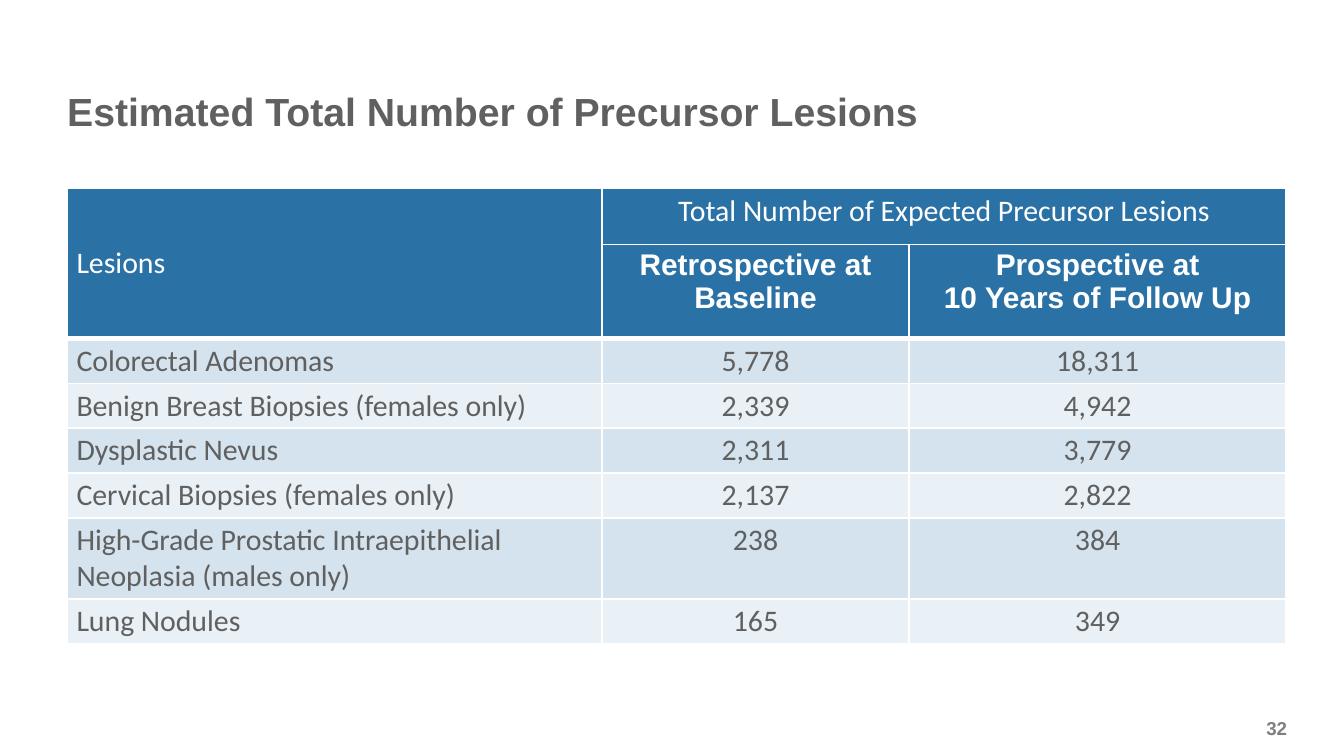
"""Build a slide with a table of expected precursor lesions."""
import pptx
import pptx.dml.color
import pptx.enum.text
import pptx.oxml
import pptx.oxml.ns
import pptx.util

Pt = pptx.util.Pt
ALIGN = pptx.enum.text.PP_ALIGN
ANCHOR = pptx.enum.text.MSO_ANCHOR

TITLE = "Estimated Total Number of Precursor Lesions"
PAGE = "32"
HEADERS = [
    ("Lesions", "Total Number of Expected Precursor Lesions", None),
    (None, "Retrospective at Baseline", "Prospective at\n10 Years of Follow Up"),
]
LESIONS = [
    ("Colorectal Adenomas", "5,778", "18,311"),
    ("Benign Breast Biopsies (females only)", "2,339", "4,942"),
    ("Dysplastic Nevus", "2,311", "3,779"),
    ("Cervical Biopsies (females only)", "2,137", "2,822"),
    ("High-Grade Prostatic Intraepithelial Neoplasia (males only)", "238", "384"),
    ("Lung Nodules", "165", "349"),
]

THEME = {
    "heading": "Arial", "body": "Calibri",
    "title_size": 21, "table_size": 16, "page_size": 10,
    "text": "606060", "muted": "7F7F7F", "white": "FFFFFF",
    "header": "2A72A5", "bands": ("D4E3ED", "E9F1F6"),
    "thin": 1, "thick": 3,
}
SLIDE = (720, 405)
TITLE_BOX = (36, 33, 648, 52.5)
PAGE_BOX = (665, 383, 24.5, 14.4)
TABLE_AT = (36, 101)
COLUMNS = (286.5, 164.5, 202)
ROWS = (30, 50.5, 24, 24, 24, 24, 43.5, 24)


def rgb(value):
    return pptx.dml.color.RGBColor.from_string(value)


def write(tf, text, font, size, color, bold, align, anchor):
    tf.text = text
    tf.word_wrap = True
    tf.vertical_anchor = anchor
    for p in tf.paragraphs:
        p.alignment = align
        p.font.name = font
        p.font.size = Pt(size)
        p.font.bold = bold
        p.font.color.rgb = rgb(color)


def write_flush(sp, *style):
    tf = sp.text_frame
    tf.margin_left = tf.margin_right = tf.margin_top = tf.margin_bottom = 0
    write(tf, *style)


def set_borders(cell, top, bottom):
    props = cell._tc.get_or_add_tcPr()
    widths = {"L": THEME["thin"], "R": THEME["thin"], "T": top, "B": bottom}
    for i, (side, width) in enumerate(widths.items()):
        props.insert(i, pptx.oxml.parse_xml(
            f'<a:ln{side} {pptx.oxml.ns.nsdecls("a")} w="{Pt(width)}"><a:solidFill>'
            f'<a:srgbClr val="{THEME["white"]}"/></a:solidFill></a:ln{side}>'))


def fill_cell(cell, text, row, col):
    first_body = len(HEADERS)
    header = row < first_body
    cell.fill.solid()
    cell.fill.fore_color.rgb = rgb(
        THEME["header"] if header else THEME["bands"][(row - first_body) % 2])
    cell.margin_left = cell.margin_right = Pt(5)
    cell.margin_top = cell.margin_bottom = Pt(2.2)
    subhead = row == first_body - 1
    lower = subhead or cell.is_merge_origin and cell.span_height > 1
    top = THEME["thick" if row == first_body and col else "thin"]
    set_borders(cell, top, THEME["thick" if lower else "thin"])
    if text is None:
        return
    write(cell.text_frame, text, THEME["heading" if subhead else "body"],
          THEME["table_size"], THEME["white" if header else "text"], subhead,
          ALIGN.CENTER if col else ALIGN.LEFT, None)
    cell.vertical_anchor = ANCHOR.MIDDLE if header and not col else ANCHOR.TOP


def add_lesion_table(s):
    data = HEADERS + LESIONS
    box = (*TABLE_AT, sum(COLUMNS), sum(ROWS))
    table = s.shapes.add_table(len(data), len(COLUMNS), *map(Pt, box)).table
    for column, width in zip(table.columns, COLUMNS):
        column.width = Pt(width)
    for row, height in zip(table.rows, ROWS):
        row.height = Pt(height)
    table.cell(0, 0).merge(table.cell(1, 0))
    table.cell(0, 1).merge(table.cell(0, 2))
    for i, values in enumerate(data):
        for j, text in enumerate(values):
            fill_cell(table.cell(i, j), text, i, j)


def main():
    prs = pptx.Presentation()
    prs.slide_width, prs.slide_height = map(Pt, SLIDE)
    s = prs.slides.add_slide(prs.slide_layouts.get_by_name("Title Only"))
    title = s.shapes.title
    title.left, title.top, title.width, title.height = map(Pt, TITLE_BOX)
    write_flush(title, TITLE, THEME["heading"], THEME["title_size"],
                THEME["text"], True, ALIGN.LEFT, ANCHOR.MIDDLE)
    add_lesion_table(s)
    page = s.shapes.add_textbox(*map(Pt, PAGE_BOX))
    write_flush(page, PAGE, THEME["heading"], THEME["page_size"],
                THEME["muted"], True, ALIGN.RIGHT, ANCHOR.MIDDLE)
    prs.save("out.pptx")


if __name__ == "__main__":
    main()
